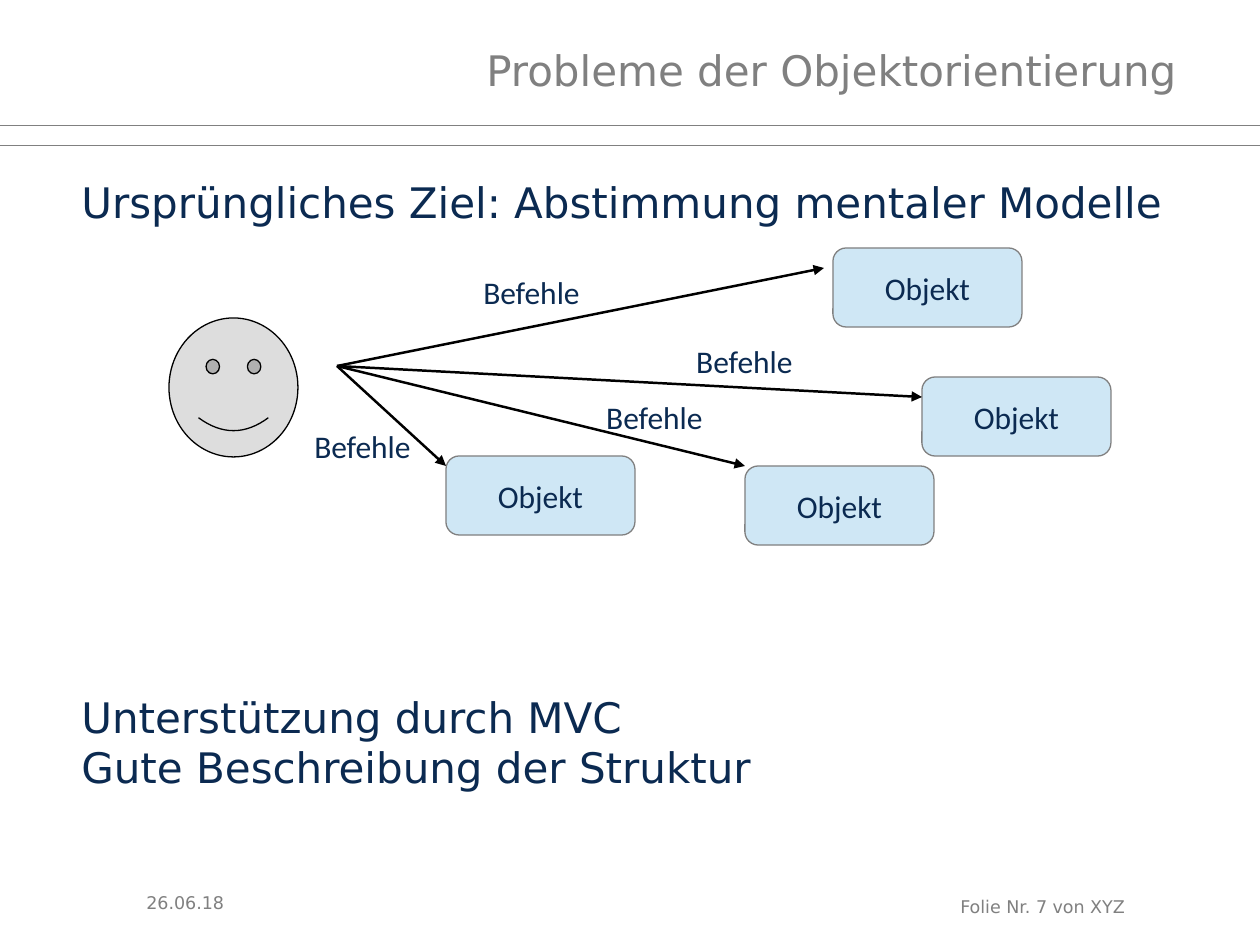
"""Build the slide on problems of object orientation."""
from lxml.etree import SubElement
from pptx import Presentation
from pptx.dml.color import RGBColor
from pptx.enum.shapes import MSO_CONNECTOR, MSO_SHAPE
from pptx.enum.text import MSO_ANCHOR, PP_ALIGN
from pptx.oxml.ns import qn
from pptx.util import Emu, Pt

PX = 914400 / 126
COLORS = {
    "navy": "0B2A51",
    "gray": "808080",
    "face": "DDDDDD",
    "object": "CFE7F5",
    "black": "000000",
}


def write(shape, lines, font, size, color, align=PP_ALIGN.LEFT, anchor=MSO_ANCHOR.TOP):
    frame = shape.text_frame
    frame.word_wrap = True
    frame.vertical_anchor = anchor
    frame.text = "\n".join(lines)
    for para in frame.paragraphs:
        para.alignment = align
        para.font.name = font
        para.font.size = Pt(size)
        para.font.color.rgb = RGBColor.from_string(COLORS[color])


def draw_line(page, start, end, color, width):
    points = [Emu(round(value * PX)) for value in (*start, *end)]
    line = page.shapes.add_connector(MSO_CONNECTOR.STRAIGHT, *points)
    line.line.color.rgb = RGBColor.from_string(COLORS[color])
    line.line.width = Pt(width)
    SubElement(line._element.spPr, qn("a:effectLst"))
    return line


deck = Presentation()
deck.slide_width = Emu(round(1260 * PX))
deck.slide_height = Emu(round(945 * PX))
page = deck.slides.add_slide(deck.slide_layouts[6])

for y in (125, 145):
    draw_line(page, (0, y), (1260, y), "gray", 0.5)

texts = [
    ((948, 890, 238, 58), ["Folie Nr. 7 von XYZ"], 10, "gray", PP_ALIGN.LEFT, MSO_ANCHOR.TOP),
    ((134, 878, 294, 50), ["26.06.18"], 10, "gray", PP_ALIGN.LEFT, MSO_ANCHOR.MIDDLE),
    ((318, -9, 1027, 158), ["Probleme der Objektorientierung"], 24, "gray",
     PP_ALIGN.CENTER, MSO_ANCHOR.MIDDLE),
    ((69, 170, 1111, 164), ["Ursprüngliches Ziel: Abstimmung mentaler Modelle"], 24, "navy",
     PP_ALIGN.LEFT, MSO_ANCHOR.TOP),
    ((69, 685, 1111, 214), ["Unterstützung durch MVC", "Gute Beschreibung der Struktur"], 24,
     "navy", PP_ALIGN.LEFT, MSO_ANCHOR.TOP),
]
for area, lines, size, color, align, anchor in texts:
    box = page.shapes.add_textbox(*(Emu(round(value * PX)) for value in area))
    write(box, lines, "DejaVu Sans", size, color, align, anchor)

face_area = (169, 318, 129, 139)
face = page.shapes.add_shape(MSO_SHAPE.SMILEY_FACE, *(Emu(round(v * PX)) for v in face_area))
face.shadow.inherit = False
face.adjustments[0] = 0.05
face.fill.solid()
face.fill.fore_color.rgb = RGBColor.from_string(COLORS["face"])
face.line.color.rgb = RGBColor.from_string(COLORS["black"])
face.line.width = Pt(0)

commands = [
    ((833, 248), (824, 268), (338, 267)),
    ((446, 456), (446, 466), (169, 421)),
    ((745, 466), (745, 466), (461, 392)),
    ((922, 377), (922, 397), (551, 336)),
]
for corner, tip, label_corner in commands:
    area = (*corner, 189, 79)
    target = page.shapes.add_shape(
        MSO_SHAPE.ROUNDED_RECTANGLE, *(Emu(round(value * PX)) for value in area))
    target.shadow.inherit = False
    target.fill.solid()
    target.fill.fore_color.rgb = RGBColor.from_string(COLORS["object"])
    target.line.color.rgb = RGBColor.from_string(COLORS["gray"])
    target.line.width = Pt(0)
    write(target, ["Objekt"], "Calibri", 18, "navy", PP_ALIGN.CENTER, MSO_ANCHOR.MIDDLE)

    arrow = draw_line(page, (337, 366), tip, "black", 1.42)
    SubElement(arrow.line._get_or_add_ln(), qn("a:tailEnd"), type="triangle")

    area = (*label_corner, 387, 50)
    label = page.shapes.add_textbox(*(Emu(round(value * PX)) for value in area))
    write(label, ["Befehle"], "Calibri", 18, "navy", PP_ALIGN.CENTER)

deck.save("out.pptx")
